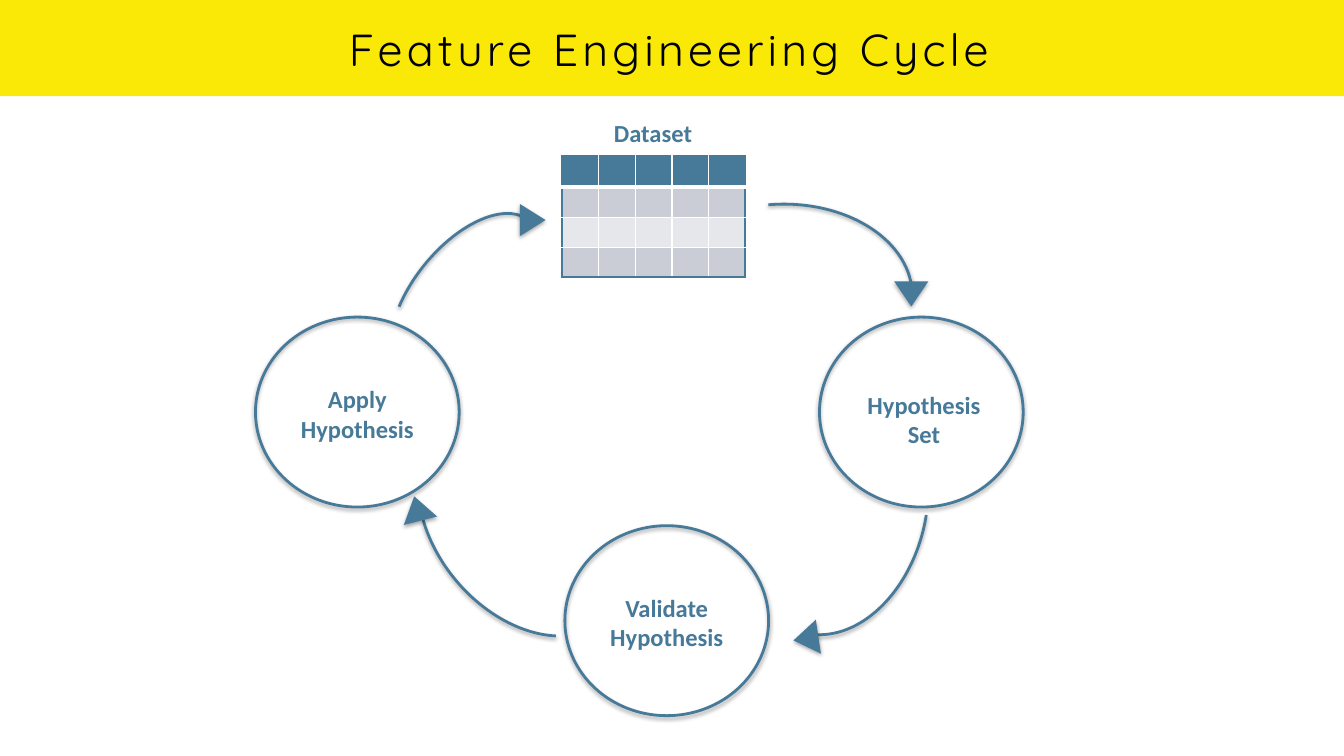
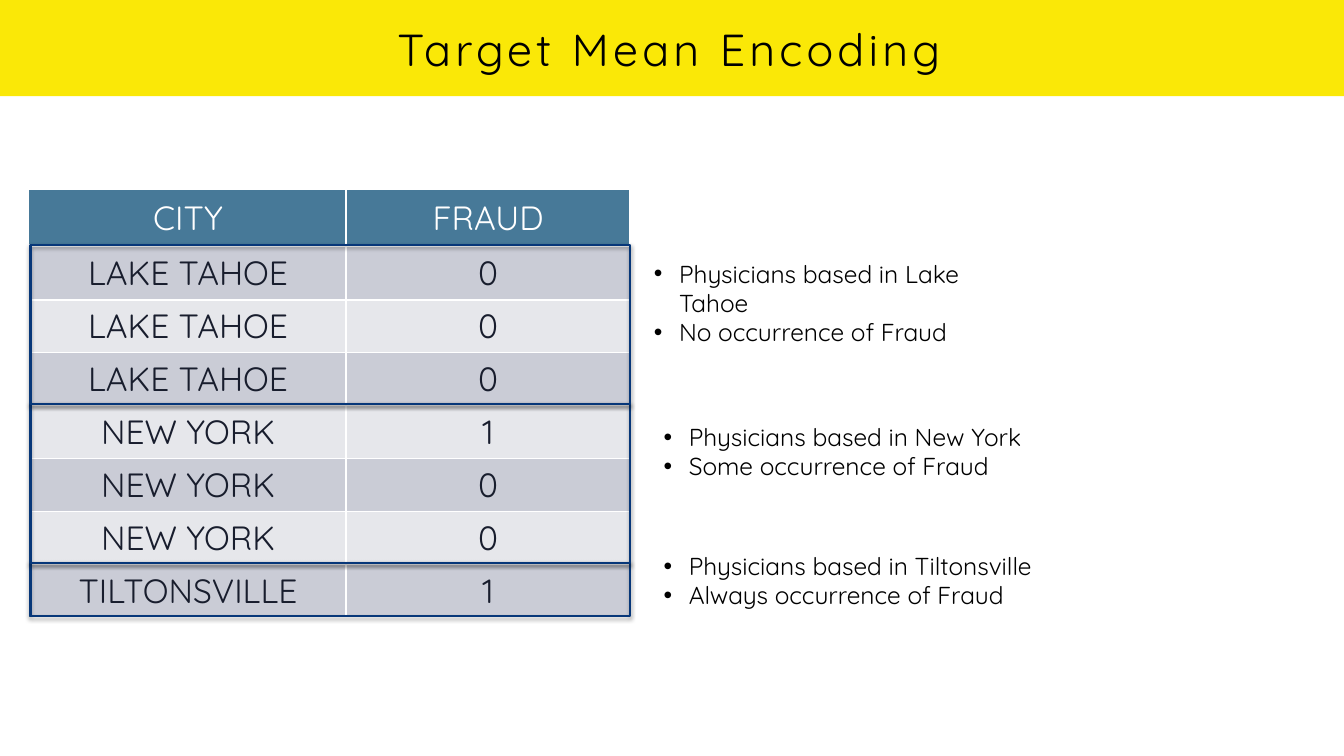
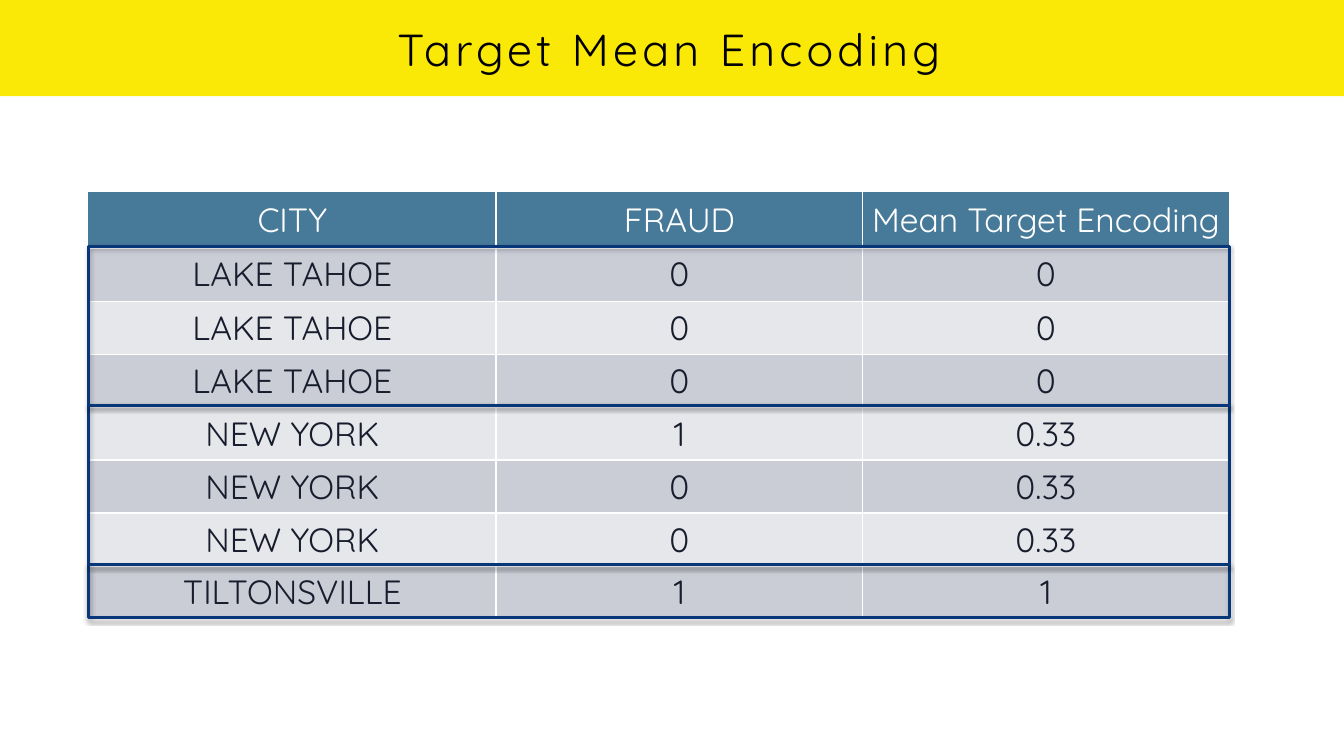
from lxml.etree import SubElement
from pptx import Presentation
from pptx.dml.color import RGBColor
from pptx.enum.shapes import MSO_SHAPE
from pptx.enum.text import MSO_ANCHOR, MSO_AUTO_SIZE, PP_ALIGN
from pptx.oxml import parse_xml
from pptx.oxml.ns import nsdecls, qn
from pptx.util import Pt

COLORS = {
    "yellow": "FAE807",
    "steel": "477998",
    "navy": "073779",
    "ink": "181D2D",
    "black": "000000",
    "white": "FFFFFF",
    "band_dark": "CACCD6",
    "band_light": "E6E7EB",
}
RGB = {name: RGBColor.from_string(value) for name, value in COLORS.items()}
FONT = "Quicksand"
LABEL_FONT = "Calibri"
LABEL_SIZE = 35
INSET = Pt(4)


def add_shadowed(slide, kind, box, line=None, fill=None, rotation=0):
    """Add a preset shape with an outline or a fill and a soft shadow below it."""
    shape = slide.shapes.add_shape(kind, *[Pt(v) for v in box])
    shape.rotation = rotation
    if fill:
        shape.fill.solid()
        shape.fill.fore_color.rgb = RGB[fill]
    else:
        shape.fill.background()
    if line:
        shape.line.color.rgb = RGB[line]
        shape.line.width = Pt(4)
    else:
        shape.line.fill.background()
    shape._element.spPr.append(parse_xml(
        f'<a:effectLst {nsdecls("a")}><a:outerShdw blurRad="{Pt(6)}" dist="{Pt(3)}" '
        f'dir="5400000" rotWithShape="0"><a:srgbClr val="{COLORS["black"]}">'
        '<a:alpha val="35000"/></a:srgbClr></a:outerShdw></a:effectLst>'))
    return shape


def add_grid(slide, rows, left, top, widths, heights, framed=False):
    """Add a banded table; framed closes its right and bottom edge in steel."""
    frame = slide.shapes.add_table(len(rows), len(widths), Pt(left), Pt(top),
                                   Pt(sum(widths)), Pt(sum(heights)))
    table = frame.table
    for column, width in zip(table.columns, widths):
        column.width = Pt(width)
    for row, height in zip(table.rows, heights):
        row.height = Pt(height)
    edge, rule, header_rule = ("steel", 3), ("white", 2), ("white", 6)
    for r, values in enumerate(rows):
        last_row = r == len(rows) - 1
        for c, value in enumerate(values):
            last_column = c == len(values) - 1
            cell = table.cell(r, c)
            borders = {
                "lnL": edge if c == 0 else rule,
                "lnR": edge if framed and last_column else rule,
                "lnT": edge if r == 0 else rule,
                "lnB": header_rule if r == 0 else edge if framed and last_row else rule,
            }
            properties = cell._tc.get_or_add_tcPr()
            for side, (color, width) in borders.items():
                border = SubElement(properties, qn(f"a:{side}"), w=str(Pt(width)))
                border_fill = SubElement(border, qn("a:solidFill"))
                SubElement(border_fill, qn("a:srgbClr"), val=COLORS[color])
            cell.fill.solid()
            cell.fill.fore_color.rgb = RGB[
                "steel" if r == 0 else "band_dark" if r % 2 else "band_light"]
            if not value:
                continue
            cell.margin_left = cell.margin_right = cell.margin_top = cell.margin_bottom = 0
            cell.vertical_anchor = MSO_ANCHOR.MIDDLE
            paragraph = cell.text_frame.paragraphs[0]
            paragraph.text = value
            paragraph.alignment = PP_ALIGN.CENTER
            font = paragraph.runs[0].font
            font.name, font.size, font.bold = FONT, Pt(48), False
            font.color.rgb = RGB["white" if r == 0 else "ink"]


deck = Presentation()
deck.slide_width, deck.slide_height = Pt(1920), Pt(1080)
layout = deck.slide_layouts[5]

# Shared title style
titles = ["Feature Engineering Cycle", "Target Mean Encoding", "Target Mean Encoding"]
for heading in titles:
    title = deck.slides.add_slide(layout).shapes.title
    title.left, title.top, title.width, title.height = Pt(43), Pt(-0.7), Pt(1826), Pt(139)
    title.text_frame.text = heading
    title.text_frame.auto_size = MSO_AUTO_SIZE.NONE
    title.text_frame.vertical_anchor = MSO_ANCHOR.MIDDLE
    title_line = title.text_frame.paragraphs[0]
    title_line.alignment = PP_ALIGN.CENTER
    title_run = title_line.runs[0]
    title_run.font.name, title_run.font.size = FONT, Pt(64)
    title_run.font.color.rgb = RGB["black"]
    title_run._r.get_or_add_rPr().set("spc", "600")
cycle, groups, encoding = deck.slides

# The yellow band belongs to the layout, behind every title
band = cycle.shapes.add_shape(MSO_SHAPE.RECTANGLE, Pt(-0.7), 0, Pt(1921.7), Pt(137.5))
band.shadow.inherit = False
band.fill.solid()
band.fill.fore_color.rgb = RGB["yellow"]
band.line.fill.background()
layout.shapes._spTree.insert(2, band._element)

# Slide 1: the cycle, from the dataset through three stages
add_grid(cycle, [[""] * 5] * 4, 803, 223.2, [52.3] * 5, [44, 44, 42.5, 42.5], framed=True)

stage_width, stage_height = 291, 271.4
stages = [
    (1170.7, 453, ["Hypothesis", "Set"], 179, 99.5),
    (807, 751, ["Validate", "Hypothesis"], 171.4, 91.5),
    (365, 453, ["Apply", "Hypothesis"], 171.4, 91.5),
]
labels = [(["Dataset"], (872, 165, 121.7, 50.4))]
for left, top, lines, label_width, drop in stages:
    add_shadowed(cycle, MSO_SHAPE.OVAL, (left, top, stage_width, stage_height), line="steel")
    labels.append((lines, (left + 59.8, top + drop, label_width, 93)))

for lines, box in labels:
    label = cycle.shapes.add_textbox(*[Pt(v) for v in box]).text_frame
    label.text = "\n".join(lines)
    label.word_wrap = False
    label.vertical_anchor = MSO_ANCHOR.MIDDLE
    label.margin_left = label.margin_right = label.margin_top = label.margin_bottom = INSET
    for paragraph in label.paragraphs:
        paragraph.alignment = PP_ALIGN.CENTER
        font = paragraph.runs[0].font
        font.name, font.size, font.bold = LABEL_FONT, Pt(LABEL_SIZE), True
        font.color.rgb = RGB["steel"]

arcs = [
    ((937.4, 291.6, 365.8, 260.6), 0, 156.04, 213.45),
    ((1009.4, 596.2, 365.8, 260.6), 104, 156.04, 213.45),
    ((568.1, 614.9, 365.8, 260.6), 230.2, 122.99, 186.46),
    ((521.3, 350.6, 288, 152.6), 308.8, 134.66, 213.17),
]
for box, rotation, start, end in arcs:
    arc = add_shadowed(cycle, MSO_SHAPE.ARC, box, line="steel", rotation=rotation)
    arc.adjustments[0], arc.adjustments[1] = start, end

arrow_tips = [
    ((738, 296, 46, 36.7), 90),
    ((1277.3, 401.8, 49, 36), 180),
    ((1126.8, 894.2, 49, 36), 261.4),
    ((571.7, 708.5, 49, 36), 345.7),
]
for box, rotation in arrow_tips:
    add_shadowed(cycle, MSO_SHAPE.ISOSCELES_TRIANGLE, box, fill="steel", rotation=rotation)

# Slides 2 and 3: the same records, without and with their encoding
records = [
    ("CITY", "FRAUD", "Mean Target Encoding"),
    *[("LAKE TAHOE", "0", "0")] * 3,
    ("NEW YORK", "1", "0.33"),
    *[("NEW YORK", "0", "0.33")] * 2,
    ("TILTONSVILLE", "1", "1"),
]
row_heights = [77.8] * 2 + [75.6] * 6
header_height, record_height = 77, 75.75
city_groups = [(0, 3), (3, 3), (6, 1)]  # first record, number of records
record_tables = [
    (groups, 43.2, 272.9, [451.1, 405.8]),
    (encoding, 126.7, 275, [582, 523.7, 523.7]),
]
for slide, left, top, widths in record_tables:
    shown = [record[:len(widths)] for record in records]
    add_grid(slide, shown, left, top, widths, row_heights)
    for first, count in reversed(city_groups):
        frame_top = top + header_height + first * record_height
        add_shadowed(slide, MSO_SHAPE.RECTANGLE,
                     (left, frame_top, sum(widths), count * record_height), line="navy")

# Slide 2: a remark beside each city group
remarks = [
    ((930.2, 386, 548, 93), "Lake Tahoe", "No"),
    ((944, 598.3, 924.5, 93), "New York", "Some"),
    ((944, 782.6, 888.5, 93), "Tiltonsville", "Always"),
]
for box, city, amount in remarks:
    remark = groups.shapes.add_textbox(*[Pt(v) for v in box]).text_frame
    remark.text = f"Physicians based in {city}\n{amount} occurrence of Fraud"
    remark.word_wrap = True
    remark.vertical_anchor = MSO_ANCHOR.MIDDLE
    remark.margin_left = remark.margin_right = remark.margin_top = remark.margin_bottom = INSET
    for paragraph in remark.paragraphs:
        font = paragraph.runs[0].font
        font.name, font.size = FONT, Pt(LABEL_SIZE)
        font.color.rgb = RGB["black"]
        indent = paragraph._p.get_or_add_pPr()
        indent.set("marL", str(Pt(36)))
        indent.set("indent", str(-Pt(36)))
        SubElement(indent, qn("a:buFont"), typeface="Arial")
        SubElement(indent, qn("a:buChar"), char="•")

deck.save("out.pptx")
